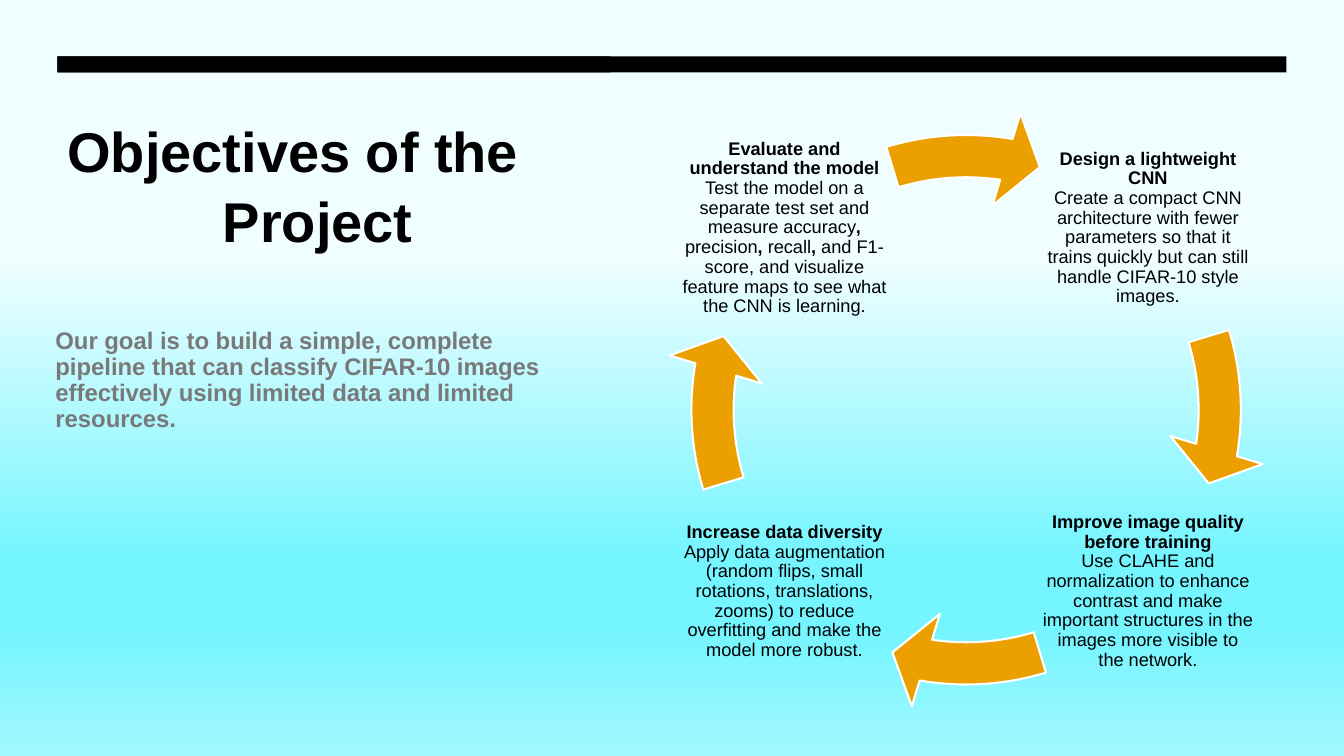
"""Build the project objectives slide with a four-step cycle."""
from copy import deepcopy

from pptx import Presentation
from pptx.dml.color import RGBColor
from pptx.enum import shapes, text
from pptx.util import Pt

TITLE_LINES = ["Objectives of the", "Project"]
GOAL = ("Our goal is to build a simple, complete pipeline that can classify CIFAR-10 images "
        "effectively using limited data and limited resources.")
# Each step: column, row, heading, then alternating plain and bold pieces.
STEPS = [
    (1, -1, "Design a lightweight CNN",
     ["Create a compact CNN architecture with fewer parameters so that it trains quickly "
      "but can still handle CIFAR-10 style images."]),
    (1, 1, "Improve image quality before training",
     ["Use CLAHE and normalization to enhance contrast and make important structures "
      "in the images more visible to the network."]),
    (-1, 1, "Increase data diversity",
     ["Apply data augmentation (random flips, small rotations, translations, zooms) "
      "to reduce overfitting and make the model more robust."]),
    (-1, -1, "Evaluate and understand the model",
     ["Test the model on a separate test set and measure accuracy", ", ", "precision", ", ",
      "recall", ", ",
      "and F1-score, and visualize feature maps to see what the CNN is learning."]),
]

BLACK = RGBColor(0x00, 0x00, 0x00)
WHITE = RGBColor(0xFF, 0xFF, 0xFF)
GRAY = RGBColor(0x79, 0x79, 0x79)
AMBER = RGBColor(0xEB, 0xA0, 0x00)
BACKGROUND = [
    (0.34, RGBColor(0xF0, 0xFE, 0xFF)),
    (0.74, RGBColor(0x74, 0xF5, 0xFF)),
    (0.83, RGBColor(0x74, 0xF5, 0xFF)),
    (1.0, RGBColor(0xA2, 0xF8, 0xFF)),
]
FONT = "Arial"
BARS = [(41, 40.3, 878, 11.5), (41, 40.3, 395, 11.5)]
TITLE_BOX = (41, 77, 395, 110)
GOAL_BOX = (32.4, 226.8, 362, 85.7)
CENTER_X, CENTER_Y = 690.1, 292.7
RING_SIZE = 431.3
STEP_SIZE = 152.6
STEP_OFFSET = 129.8
QUARTER, FULL_TURN = 54, 216
ARROW_END, ARROW_START = 5.48, 205.86


def place(shape, box):
    shape.left, shape.top, shape.width, shape.height = map(Pt, box)


def style(paragraph, size, color, bold, spacing):
    font = paragraph.font
    font.name, font.size, font.bold = FONT, Pt(size), bold
    font.color.rgb = color
    paragraph.line_spacing = spacing


def centered(x, y, size):
    return x - size / 2, y - size / 2, size, size


def add_shape(slide, kind, box, color):
    shape = slide.shapes.add_shape(kind, *map(Pt, box))
    shape.shadow.inherit = False
    shape.fill.solid()
    shape.fill.fore_color.rgb = color
    shape.line.fill.background()
    return shape


def paint_background(slide):
    fill = slide.background.fill
    fill.gradient()
    fill.gradient_angle = 270
    stop_list = slide._element.xpath(".//a:gsLst")[0]
    while len(stop_list) < len(BACKGROUND):
        stop_list.append(deepcopy(stop_list[0]))
    for stop, (position, color) in zip(fill.gradient_stops, BACKGROUND):
        stop.position = position
        stop.color.rgb = color


def fill_placeholders(slide):
    title, body = slide.placeholders
    place(title, TITLE_BOX)
    title.text_frame.text = "\n".join(TITLE_LINES)
    title.text_frame.vertical_anchor = text.MSO_ANCHOR.TOP
    for paragraph in title.text_frame.paragraphs:
        style(paragraph, 40, BLACK, True, 1.05)
        paragraph.alignment = text.PP_ALIGN.LEFT
    paragraph._p.get_or_add_pPr().set("marL", str(Pt(111)))

    place(body, GOAL_BOX)
    body.text_frame.text = GOAL
    body.text_frame.vertical_anchor = text.MSO_ANCHOR.BOTTOM
    paragraph = body.text_frame.paragraphs[0]
    style(paragraph, 17.1, GRAY, True, 0.9)
    paragraph.space_before = Pt(10)
    properties = paragraph._p.get_or_add_pPr()
    properties.set("marL", "0")
    properties.set("indent", "0")
    bullet = properties.makeelement(
        "{http://schemas.openxmlformats.org/drawingml/2006/main}buNone", {})
    properties.insert_element_before(bullet, "a:tabLst", "a:defRPr", "a:extLst")
    for placeholder in (title, body):
        placeholder.text_frame.auto_size = text.MSO_AUTO_SIZE.NONE


def add_step(slide, column, row, heading, pieces):
    box = centered(CENTER_X + column * STEP_OFFSET, CENTER_Y + row * STEP_OFFSET, STEP_SIZE)
    frame = slide.shapes.add_textbox(*map(Pt, box)).text_frame
    frame.word_wrap = True
    frame.vertical_anchor = text.MSO_ANCHOR.MIDDLE
    frame.margin_left = frame.margin_right = frame.margin_top = frame.margin_bottom = Pt(1.3)
    paragraph = frame.paragraphs[0]
    style(paragraph, 13, BLACK, True, 0.9)
    paragraph.alignment = text.PP_ALIGN.CENTER
    run = paragraph.add_run()
    run.text, run.font.bold = heading, True
    paragraph.add_line_break()
    for index, piece in enumerate(pieces):
        run = paragraph.add_run()
        run.text, run.font.bold = piece, index % 2 == 1


def add_arrow(slide, index):
    arrow = add_shape(slide, shapes.MSO_SHAPE.CIRCULAR_ARROW,
                      centered(CENTER_X, CENTER_Y, RING_SIZE), AMBER)
    arrow.line.color.rgb = WHITE
    arrow.line.width = Pt(1.5)
    turn = index * QUARTER
    values = (0.07, 4.66, ARROW_END + turn, (ARROW_START + turn) % FULL_TURN, 0.08)
    for position, value in enumerate(values):
        arrow.adjustments[position] = value


def main():
    presentation = Presentation()
    presentation.slide_width, presentation.slide_height = Pt(960), Pt(540)
    slide = presentation.slides.add_slide(presentation.slide_layouts[1])
    paint_background(slide)
    for bar in BARS:
        add_shape(slide, shapes.MSO_SHAPE.RECTANGLE, bar, BLACK)
    fill_placeholders(slide)
    for index, step in enumerate(STEPS):
        add_step(slide, *step)
        add_arrow(slide, index)
    presentation.save("out.pptx")


if __name__ == "__main__":
    main()
